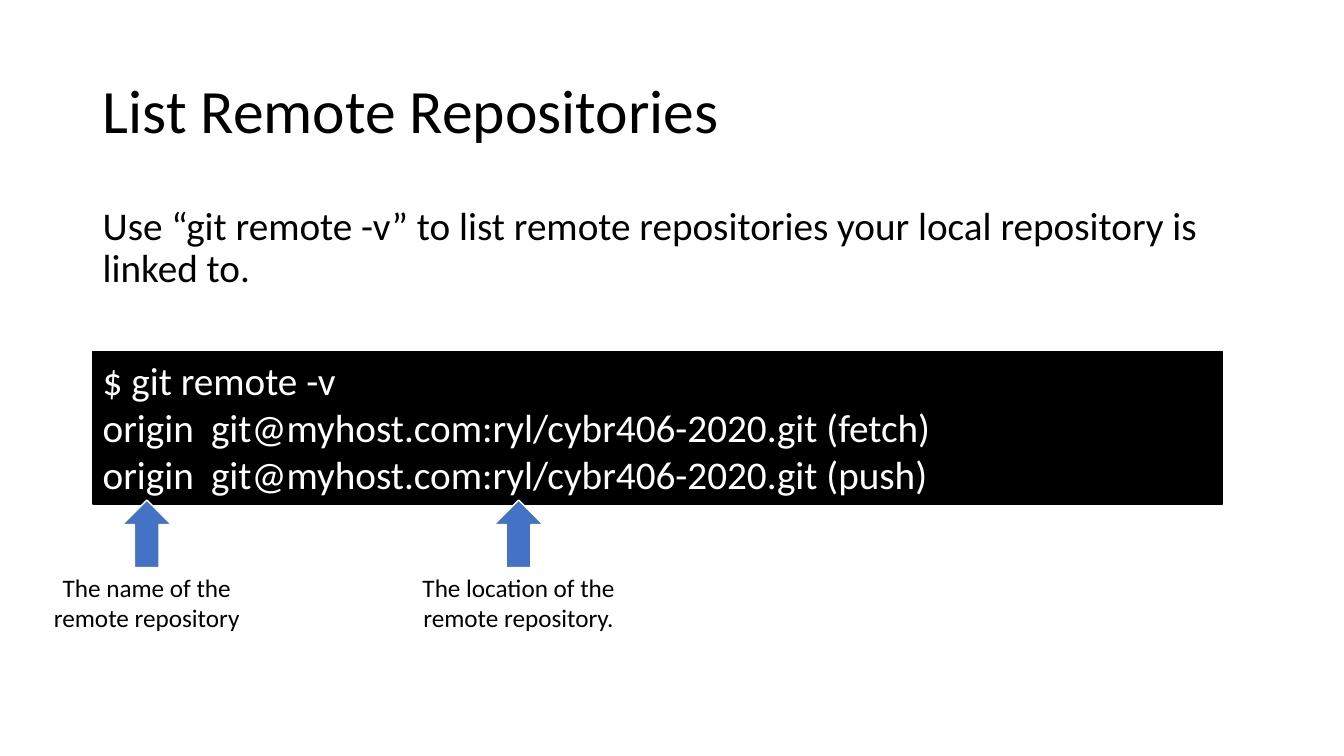
import pptx
import pptx.util
import pptx.dml.color
import pptx.enum.shapes
import pptx.enum.text
import lxml.etree

Cm, Pt = pptx.util.Cm, pptx.util.Pt
ALIGN = pptx.enum.text.PP_ALIGN
ANCHOR = pptx.enum.text.MSO_ANCHOR
SHAPE = pptx.enum.shapes.MSO_SHAPE

TITLE = ["List Remote Repositories"]
BODY = ["Use “git remote -v” to list remote repositories your local repository is linked to."]
TERMINAL = [
    "$ git remote -v",
    "origin\tgit@myhost.com:ryl/cybr406-2020.git (fetch)",
    "origin\tgit@myhost.com:ryl/cybr406-2020.git (push)",
]
# Centre of each arrow in cm, and the label below it
CALLOUTS = [
    (3.7, ["The name of the", "remote repository"]),
    (13.07, ["The location of the", "remote repository."]),
]

THEME = {
    "font": "Calibri",
    "ink": "000000", "paper": "FFFFFF", "accent": "4472C4",
    "title": 44, "body": 28, "label": 18,
}

LEFT, WIDTH = 2.34, 29.21
ARROW_TOP, ARROW_W, ARROW_H = 12.6, 1.24, 1.7
LABEL_W, LABEL_H = 5.4, 1.8
TAB_STOP = 2.73


def rgb(name):
    """Return a theme colour."""
    return pptx.dml.color.RGBColor.from_string(THEME[name])


def set_all(obj, values):
    """Set attributes of obj from a dict."""
    for key, value in values.items():
        setattr(obj, key, value)


def write(sp, lines, size, color="ink", frame=None, para=None):
    """Write one paragraph per line into a shape."""
    tf = sp.text_frame
    set_all(tf, {"word_wrap": True, "vertical_anchor": ANCHOR.TOP, **(frame or {})})
    for i, line in enumerate(lines):
        p = tf.add_paragraph() if i else tf.paragraphs[0]
        set_all(p, {"alignment": ALIGN.LEFT, **(para or {})})
        r = p.add_run()
        r.text = line
        set_all(r.font, {"name": THEME["font"], "size": Pt(THEME[size])})
        r.font.color.rgb = rgb(color)


def add_text(s, box, lines, size, **fmt):
    """Add a text box; box is left, top, width, height in cm."""
    write(s.shapes.add_textbox(*map(Cm, box)), lines, size, **fmt)


def add_block(s, kind, box, fill, line):
    """Add a filled preset shape with a thin outline."""
    sp = s.shapes.add_shape(kind, *map(Cm, box))
    sp.shadow.inherit = False
    sp.fill.solid()
    sp.fill.fore_color.rgb = rgb(fill)
    sp.line.color.rgb = rgb(line)
    sp.line.width = Pt(1)
    return sp


def add_tab_stop(p, position):
    """Give a paragraph a left tab stop at a position in cm."""
    pPr = p._p.get_or_add_pPr()
    ns = "{%s}" % pPr.nsmap["a"]
    tabs = lxml.etree.SubElement(pPr, ns + "tabLst")
    lxml.etree.SubElement(tabs, ns + "tab", pos=str(Cm(position)), algn="l")


def add_terminal(s):
    """Add the black console with aligned columns."""
    sp = add_block(s, SHAPE.RECTANGLE, (LEFT, 8.86, 28.47, 3.84), "ink", "ink")
    write(sp, TERMINAL, "body", color="paper")
    for p in sp.text_frame.paragraphs:
        add_tab_stop(p, TAB_STOP)


def add_callout(s, center, lines):
    """Add an up arrow and the label centred below it."""
    add_block(s, SHAPE.UP_ARROW,
              (center - ARROW_W / 2, ARROW_TOP, ARROW_W, ARROW_H), "accent", "paper")
    add_text(s, (center - LABEL_W / 2, ARROW_TOP + ARROW_H, LABEL_W, LABEL_H), lines,
             "label", frame={"word_wrap": False}, para={"alignment": ALIGN.CENTER})


def main():
    """Build the slide and save it."""
    prs = pptx.Presentation()
    set_all(prs, {"slide_width": Cm(33.87), "slide_height": Cm(19.05)})
    s = prs.slides.add_slide(prs.slide_layouts[6])
    add_text(s, (LEFT, 1.02, WIDTH, 3.68), TITLE, "title",
             frame={"vertical_anchor": ANCHOR.MIDDLE}, para={"line_spacing": 0.9})
    add_text(s, (LEFT, 5.08, WIDTH, 2.46), BODY, "body",
             para={"line_spacing": 0.9, "space_before": Pt(10)})
    add_terminal(s)
    for center, lines in CALLOUTS:
        add_callout(s, center, lines)
    prs.save("out.pptx")


main()
